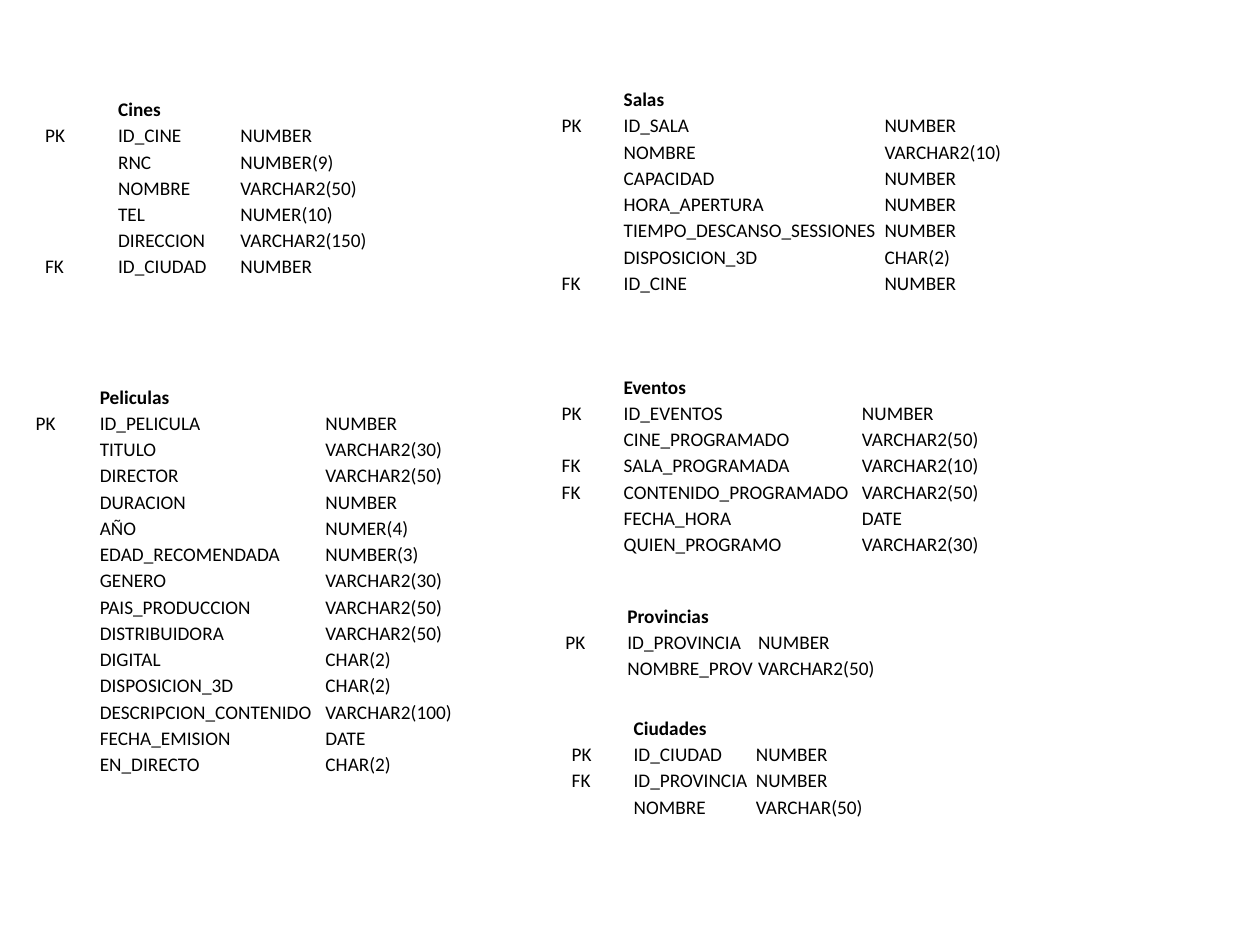
from dataclasses import dataclass

from pptx import Presentation
from pptx.dml.color import RGBColor
from pptx.enum.text import MSO_ANCHOR
from pptx.util import Pt

PX = 3810  # EMU per pixel, 240 pixels to the inch
ROW_HEIGHT = 50
CELL_MARGIN = 2


@dataclass(frozen=True)
class Theme:
    font: str = "Calibri"
    size: int = 11
    text: str = "000000"


theme = Theme()

# name, left, top, column widths, fields as (key, column, type)
entities = [
    ("Cines", 84, 182, (139, 233, 290), [
        ("PK", "ID_CINE", "NUMBER"),
        ("", "RNC", "NUMBER(9)"),
        ("", "NOMBRE", "VARCHAR2(50)"),
        ("", "TEL", "NUMER(10)"),
        ("", "DIRECCION", "VARCHAR2(150)"),
        ("FK", "ID_CIUDAD", "NUMBER"),
    ]),
    ("Salas", 1068, 163, (118, 497, 497), [
        ("PK", "ID_SALA", "NUMBER"),
        ("", "NOMBRE", "VARCHAR2(10)"),
        ("", "CAPACIDAD", "NUMBER"),
        ("", "HORA_APERTURA", "NUMBER"),
        ("", "TIEMPO_DESCANSO_SESSIONES", "NUMBER"),
        ("", "DISPOSICION_3D", "CHAR(2)"),
        ("FK", "ID_CINE", "NUMBER"),
    ]),
    ("Peliculas", 66, 730, (122, 430, 430), [
        ("PK", "ID_PELICULA", "NUMBER"),
        ("", "TITULO", "VARCHAR2(30)"),
        ("", "DIRECTOR", "VARCHAR2(50)"),
        ("", "DURACION", "NUMBER"),
        ("", "AÑO", "NUMER(4)"),
        ("", "EDAD_RECOMENDADA", "NUMBER(3)"),
        ("", "GENERO", "VARCHAR2(30)"),
        ("", "PAIS_PRODUCCION", "VARCHAR2(50)"),
        ("", "DISTRIBUIDORA", "VARCHAR2(50)"),
        ("", "DIGITAL", "CHAR(2)"),
        ("", "DISPOSICION_3D", "CHAR(2)"),
        ("", "DESCRIPCION_CONTENIDO", "VARCHAR2(100)"),
        ("", "FECHA_EMISION", "DATE"),
        ("", "EN_DIRECTO", "CHAR(2)"),
    ]),
    ("Eventos", 1068, 711, (118, 454, 454), [
        ("PK", "ID_EVENTOS", "NUMBER"),
        ("", "CINE_PROGRAMADO", "VARCHAR2(50)"),
        ("FK", "SALA_PROGRAMADA", "VARCHAR2(10)"),
        ("FK", "CONTENIDO_PROGRAMADO", "VARCHAR2(50)"),
        ("", "FECHA_HORA", "DATE"),
        ("", "QUIEN_PROGRAMO", "VARCHAR2(30)"),
    ]),
    ("Provincias", 1075, 1147, (118, 249, 249), [
        ("PK", "ID_PROVINCIA", "NUMBER"),
        ("", "NOMBRE_PROV", "VARCHAR2(50)"),
    ]),
    ("Ciudades", 1087, 1361, (118, 233, 233), [
        ("PK", "ID_CIUDAD", "NUMBER"),
        ("FK", "ID_PROVINCIA", "NUMBER"),
        ("", "NOMBRE", "VARCHAR(50)"),
    ]),
]

presentation = Presentation()
presentation.slide_width = 2400 * PX
presentation.slide_height = 1800 * PX
slide = presentation.slides.add_slide(presentation.slide_layouts[6])

for name, left, top, widths, fields in entities:
    rows = [("", name, ""), *fields]
    table = slide.shapes.add_table(
        len(rows), len(widths), left * PX, top * PX,
        sum(widths) * PX, len(rows) * ROW_HEIGHT * PX).table
    table.first_row = False
    table.horz_banding = False
    for column, width in zip(table.columns, widths):
        column.width = width * PX

    for row_index, row in enumerate(rows):
        for column_index, text in enumerate(row):
            cell = table.cell(row_index, column_index)
            cell.fill.background()
            cell.vertical_anchor = MSO_ANCHOR.BOTTOM
            cell.margin_left = cell.margin_right = CELL_MARGIN * PX
            cell.margin_top = CELL_MARGIN * PX
            cell.margin_bottom = 0
            paragraph = cell.text_frame.paragraphs[0]
            if text:
                paragraph.text = text
            font = paragraph.font
            font.name = theme.font
            font.size = Pt(theme.size)
            font.bold = row_index == 0
            font.color.rgb = RGBColor.from_string(theme.text)

presentation.save("out.pptx")
